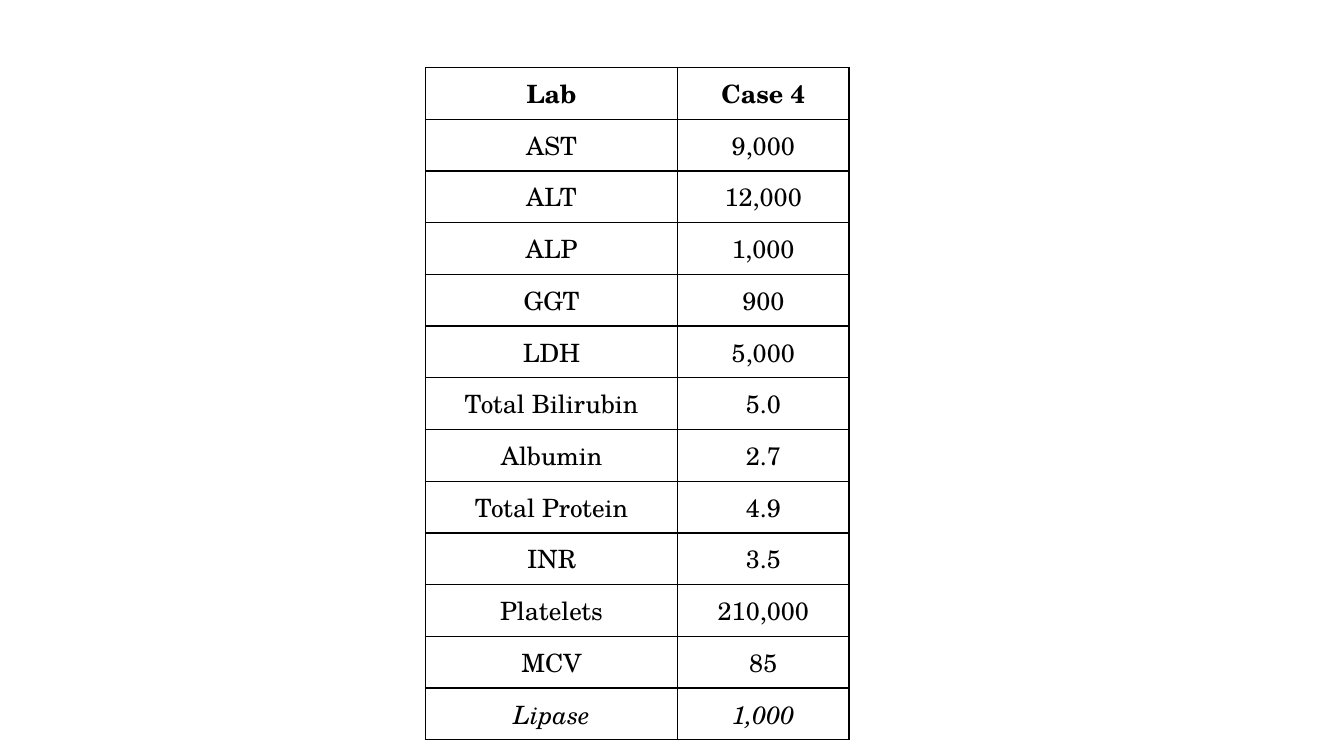
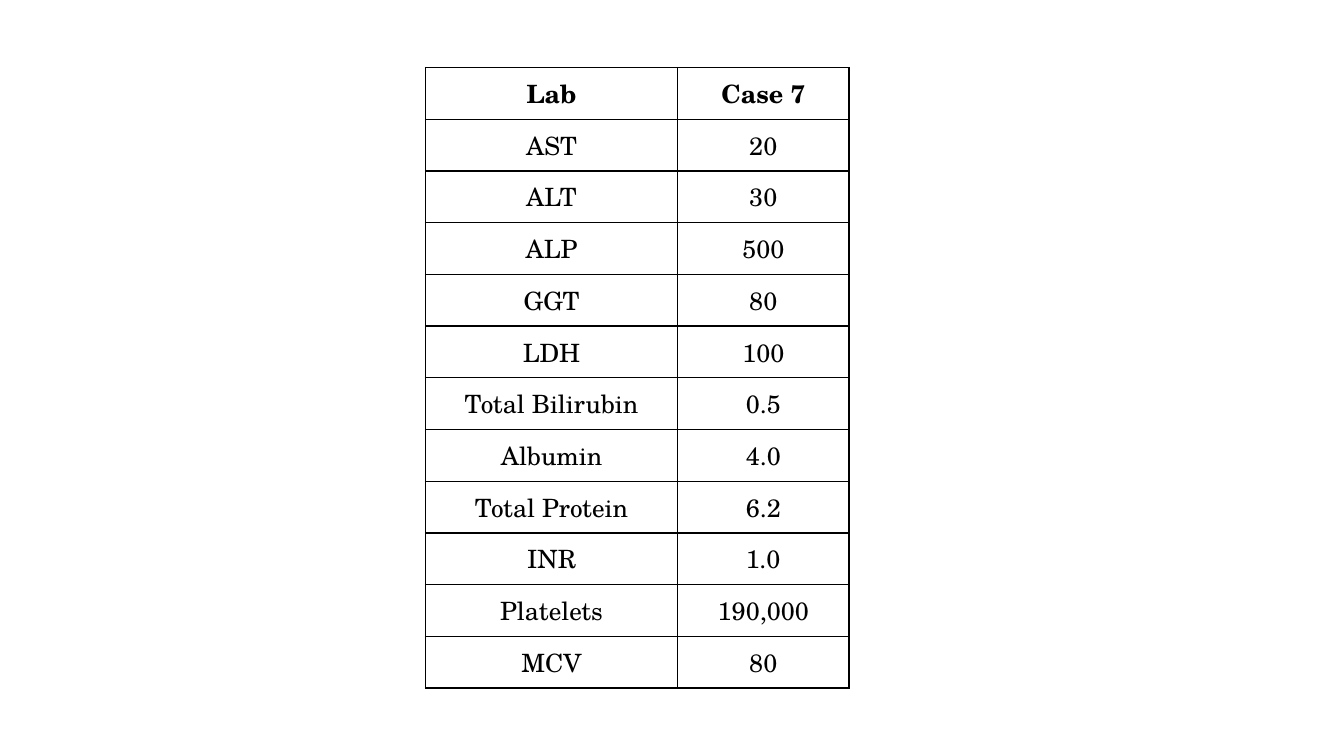
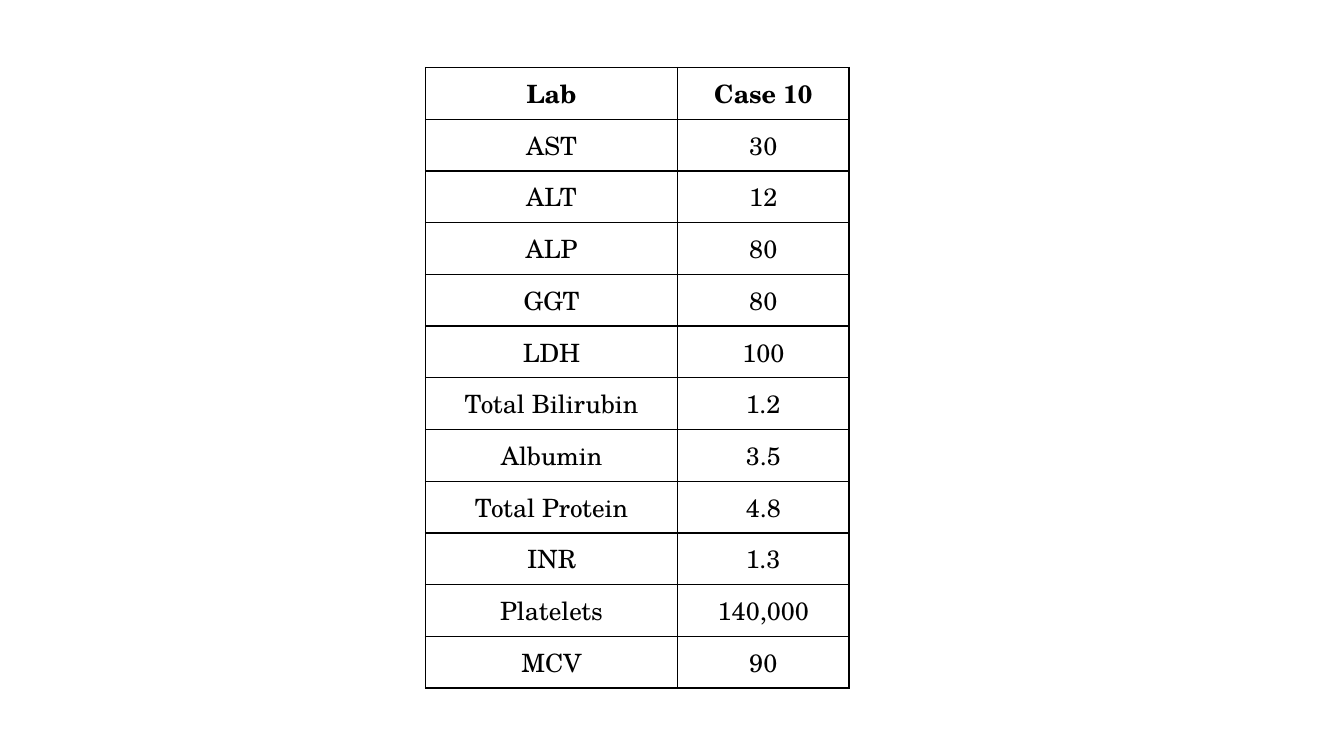
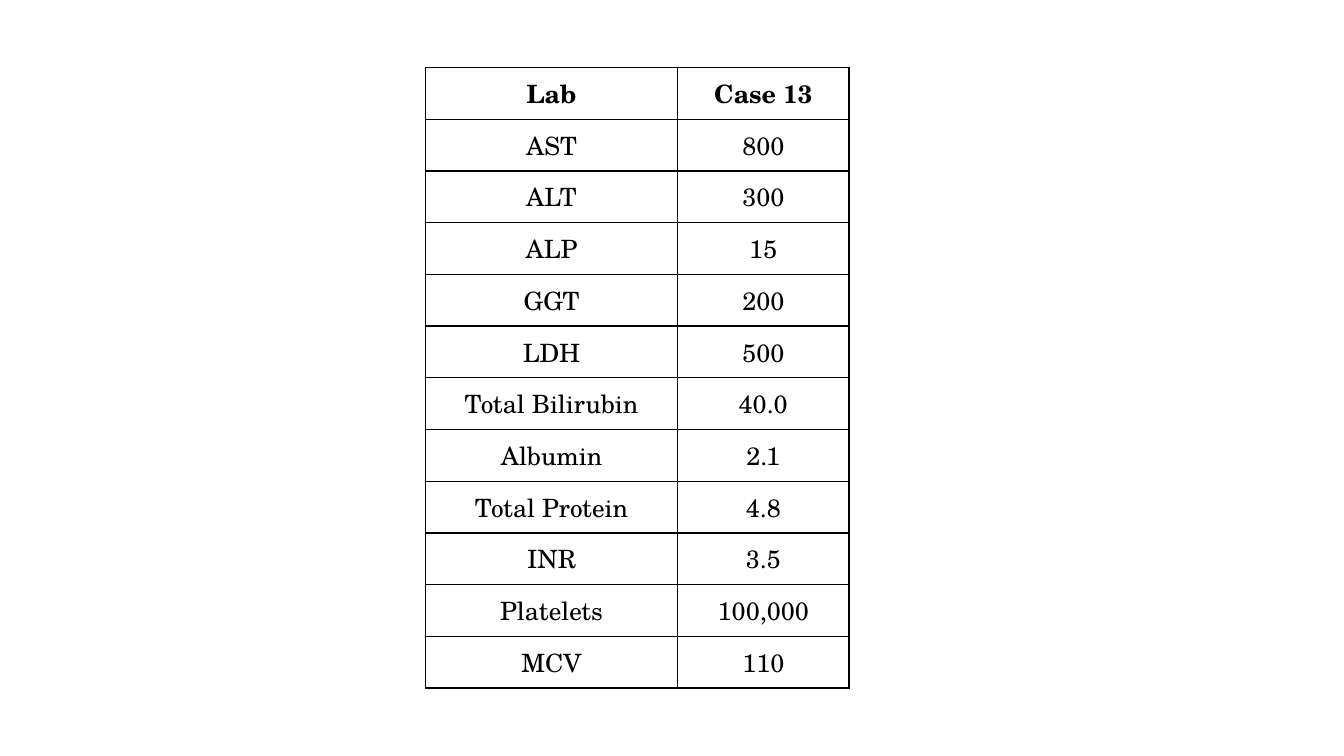
from dataclasses import dataclass

from lxml.etree import SubElement
from pptx import Presentation
from pptx.dml.color import RGBColor
from pptx.enum.text import MSO_ANCHOR, PP_ALIGN
from pptx.oxml.ns import qn
from pptx.slide import Slide
from pptx.table import _Cell
from pptx.util import Inches, Pt


@dataclass(frozen=True)
class Theme:
    ink: str = "000000"
    paper: str = "FFFFFF"
    font: str = "TeX Gyre Schola"
    text_size: float = 18
    border_width: float = 1


@dataclass(frozen=True)
class Grid:
    left: float = 4.22
    top: float = 0.67
    column_widths: tuple[float, ...] = (2.5, 1.7)
    row_height: float = 6.67 / 13  # thirteen rows reach down to 7.34 in


@dataclass(frozen=True)
class LabCase:
    number: int
    results: tuple[str, ...]
    extra: tuple[tuple[str, str], ...] = ()  # added tests, in italics


THEME = Theme()
GRID = Grid()
SLIDE_WIDTH, SLIDE_HEIGHT = 13.33, 7.5
BLANK_LAYOUT = 6

LABS = ("AST", "ALT", "ALP", "GGT", "LDH", "Total Bilirubin", "Albumin",
        "Total Protein", "INR", "Platelets", "MCV")

CASES = (
    LabCase(4, ("9,000", "12,000", "1,000", "900", "5,000", "5.0", "2.7",
                "4.9", "3.5", "210,000", "85"), (("Lipase", "1,000"),)),
    LabCase(7, ("20", "30", "500", "80", "100", "0.5", "4.0",
                "6.2", "1.0", "190,000", "80")),
    LabCase(10, ("30", "12", "80", "80", "100", "1.2", "3.5",
                 "4.8", "1.3", "140,000", "90")),
    LabCase(13, ("800", "300", "15", "200", "500", "40.0", "2.1",
                 "4.8", "3.5", "100,000", "110")),
)


def draw_borders(cell: _Cell) -> None:
    """Rule all four sides of a cell; lines come before the fill in tcPr."""
    properties = cell._tc.get_or_add_tcPr()
    for side in ("a:lnL", "a:lnR", "a:lnT", "a:lnB"):
        line = SubElement(properties, qn(side), w=str(Pt(THEME.border_width)))
        fill = SubElement(line, qn("a:solidFill"))
        SubElement(fill, qn("a:srgbClr"), val=THEME.ink)


def fill_cell(cell: _Cell, text: str, bold: bool, italic: bool) -> None:
    draw_borders(cell)
    cell.fill.background()
    cell.vertical_anchor = MSO_ANCHOR.MIDDLE
    paragraph = cell.text_frame.paragraphs[0]
    paragraph.alignment = PP_ALIGN.CENTER
    run = paragraph.add_run()
    run.text = text
    font_format = {"name": THEME.font, "size": Pt(THEME.text_size),
                   "bold": bold, "italic": italic}
    for attribute, value in font_format.items():
        setattr(run.font, attribute, value)
    run.font.color.rgb = RGBColor.from_string(THEME.ink)


def draw_lab_table(slide: Slide, case: LabCase) -> None:
    header = ("Lab", f"Case {case.number}")
    lab_rows = (header, *zip(LABS, case.results), *case.extra)
    first_extra = len(lab_rows) - len(case.extra)

    # Table frame
    lab_table = slide.shapes.add_table(
        len(lab_rows), len(header), Inches(GRID.left), Inches(GRID.top),
        Inches(sum(GRID.column_widths)),
        Inches(len(lab_rows) * GRID.row_height)).table
    for option in ("first_row", "horz_banding"):
        setattr(lab_table, option, False)
    for column, width in zip(lab_table.columns, GRID.column_widths):
        column.width = Inches(width)

    # Header, results and added tests
    for row_index, texts in enumerate(lab_rows):
        lab_table.rows[row_index].height = Inches(GRID.row_height)
        for column_index, text in enumerate(texts):
            fill_cell(lab_table.cell(row_index, column_index), text,
                      bold=row_index == 0, italic=row_index >= first_extra)


def main() -> None:
    deck = Presentation()
    deck.slide_width = Inches(SLIDE_WIDTH)
    deck.slide_height = Inches(SLIDE_HEIGHT)

    # Shared background
    backdrop = deck.slide_master.background.fill
    backdrop.solid()
    backdrop.fore_color.rgb = RGBColor.from_string(THEME.paper)

    # One slide per case
    for case in CASES:
        draw_lab_table(
            deck.slides.add_slide(deck.slide_layouts[BLANK_LAYOUT]), case)
    deck.save("out.pptx")


if __name__ == "__main__":
    main()
